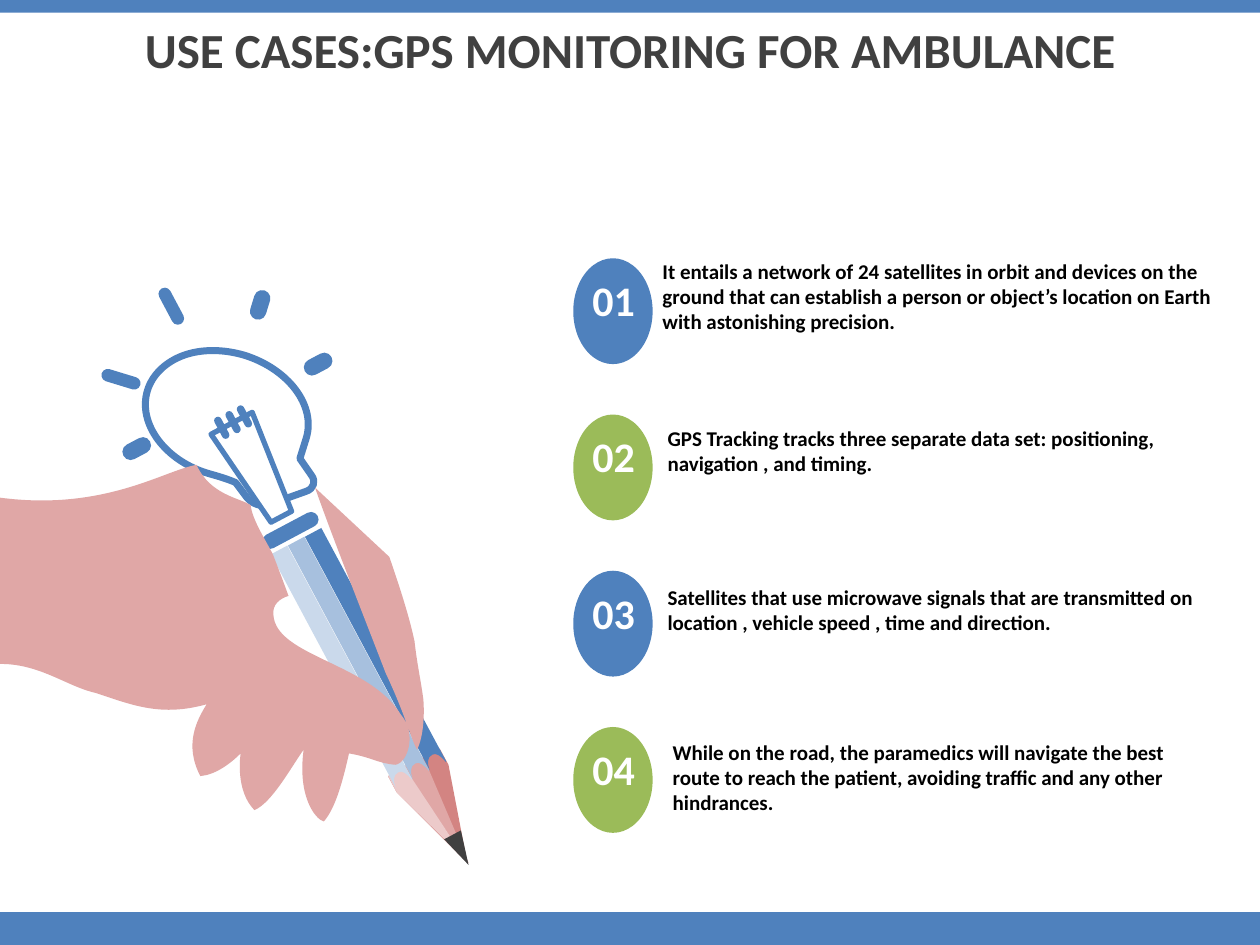
import dataclasses

import pptx
import pptx.dml.color
import pptx.enum.shapes
import pptx.enum.text
import pptx.oxml
import pptx.oxml.ns
import pptx.util

Inches = pptx.util.Inches
Shape = pptx.enum.shapes.MSO_SHAPE
Align = pptx.enum.text.PP_ALIGN
Anchor = pptx.enum.text.MSO_ANCHOR
qualified = pptx.oxml.ns.qn


@dataclasses.dataclass(frozen=True)
class Theme:
    font: str = "Calibri"
    title_size: int = 28
    number_size: int = 24
    body_size: int = 12
    blue: str = "4F81BD"
    mid_blue: str = "A7C0DE"
    pale_blue: str = "CAD9EB"
    green: str = "9BBB59"
    red: str = "D38482"
    skin: str = "E0A7A6"
    pale_red: str = "ECCACA"
    dark: str = "404040"
    black: str = "000000"
    white: str = "FFFFFF"


THEME = Theme()

# Outlines in inches: M = move, L = line, C = cubic curve, Z = close
PENCIL_TIP = [
    (THEME.red, "M 3.08 6.16 L 3.49 5.94 L 3.56 6.07 L 3.71 6.85 L 3.15 6.29 Z"),
    (THEME.skin, "M 3.21 6.08 L 3.35 6.01 L 3.4 6.1 L 3.72 6.85 L 3.28 6.21 Z"),
    (THEME.pale_red, "M 3.08 6.16 L 3.22 6.09 C 3.24 6.12 3.25 6.15 3.27 6.18 "
                     "L 3.7 6.83 L 3.15 6.29 Z"),
]
PENCIL_STRIPE = ("M 2.15 4.4 L 2.28 4.33 L 3.27 6.18 L 3.27 6.19 "
                 "C 3.23 6.14 3.19 6.11 3.16 6.13 C 3.12 6.15 3.12 6.2 3.14 6.25 Z")
BULB = ("M 1.46 2.82 C 1.6 2.77 1.77 2.77 1.94 2.82 C 2.29 2.93 2.51 3.22 2.43 3.48 "
        "L 2.38 3.64 L 2.47 3.77 C 2.51 3.82 2.49 3.88 2.43 3.9 L 2.29 3.95 L 2.13 4 "
        "C 2.08 4.03 2 4 1.96 3.95 L 1.87 3.83 C 1.8 3.8 1.73 3.78 1.66 3.76 "
        "C 1.31 3.66 1.09 3.36 1.17 3.1 C 1.21 2.97 1.32 2.87 1.46 2.82 Z")
HAND = ("M 2.5 3.87 L 3.09 4.42 C 3.17 4.65 3.25 4.9 3.29 5.09 "
        "C 3.31 5.27 3.34 5.4 3.36 5.55 C 3.37 5.68 3.36 5.85 3.31 5.95 "
        "C 3.26 5.86 3.22 5.68 3.06 5.34 C 2.93 5 2.64 4.27 2.5 3.87 Z "
        "M 1.56 3.69 C 1.67 3.93 1.9 3.95 1.99 4.01 C 2 4.13 2.13 4.32 2.17 4.41 "
        "C 2.22 4.54 2.25 4.62 2.29 4.73 C 2.22 4.75 2.16 4.8 2.17 4.88 "
        "C 2.19 5.21 2.93 5.26 3.18 5.67 C 3.31 5.82 3.24 6.05 3.14 6.07 "
        "C 3 6.06 2.95 6.01 2.77 5.98 C 2.71 6.25 2.65 6.43 2.57 6.52 "
        "C 2.5 6.5 2.36 6.32 2.41 5.95 C 2.31 6.09 2.16 6.37 2.02 6.43 "
        "C 1.91 6.32 1.89 6.13 1.91 5.98 C 1.83 6.06 1.71 6.15 1.59 6.16 "
        "C 1.46 5.91 1.56 5.72 1.64 5.59 C 1.28 5.69 1.06 5.6 0.76 5.5 "
        "C 0.53 5.45 0.31 5.26 -0.02 5.27 L 0 3.95 C 0.83 4.06 1.31 3.73 1.56 3.69 Z")

# Rounded bars: left, top, width, height, rotation
RAYS = [(2, 2.3, 0.13, 0.24, 17), (0.91, 2.85, 0.1, 0.32, 287),
        (1.31, 2.27, 0.1, 0.32, 332), (2.46, 2.77, 0.13, 0.24, 62),
        (1.02, 3.44, 0.13, 0.24, 242)]
COLLAR = (2.06, 4.15, 0.49, 0.12, 332)
FILAMENTS = [(1.73 + 0.09 * i, 3.3 - 0.045 * i, 0.06, 0.19, 332) for i in range(3)]

# Use cases: text, left, top and width relative to the row
USE_CASES = [
    ("It entails a network of 24 satellites in orbit and devices on the ground that can "
     "establish a person or object’s location on Earth with astonishing precision.",
     0.61, -0.05, 4.84),
    ("GPS Tracking tracks three separate data set: positioning, navigation , and timing.",
     0.65, 0.04, 4.8),
    ("Satellites that use microwave signals that are transmitted on location , vehicle "
     "speed , time and direction.", 0.65, 0.06, 4.8),
    ("While on the road, the paramedics will navigate the best route to reach the "
     "patient, avoiding traffic and any other hindrances.", 0.69, 0.05, 4.41),
]


def rgb(value):
    return pptx.dml.color.RGBColor.from_string(value)


def paint(shape, fill, line=None, line_width=0):
    shape.shadow.inherit = False
    shape.fill.solid()
    shape.fill.fore_color.rgb = rgb(fill)
    if line:
        shape.line.color.rgb = rgb(line)
        shape.line.width = pptx.util.Pt(line_width)
    else:
        shape.line.fill.background()


def add_preset(slide, kind, box, fill, rotation=0, **line):
    shape = slide.shapes.add_shape(kind, *map(Inches, box))
    shape.rotation = rotation
    paint(shape, fill, **line)
    return shape


def read_outline(outline):
    """Return the command letters and the points of each contour."""
    contours, commands = [], []
    words = iter(outline.split())
    for command in words:
        if command == "Z":
            continue
        count = 6 if command == "C" else 2
        values = [float(next(words)) for _ in range(count)]
        points = list(zip(values[::2], values[1::2]))
        if command == "M":
            contours.append(points)
        else:
            contours[-1] += points
            commands.append(command)
    return commands, contours


def bend_curves(shape, commands):
    """Join each three segments of a curve command into one cubic curve."""
    segments = iter(list(shape._element.iter(qualified("a:lnTo"))))
    for command in commands:
        segment = next(segments)
        if command == "C":
            curve = pptx.oxml.xmlchemy.OxmlElement("a:cubicBezTo")
            segment.addprevious(curve)
            for part in (segment, next(segments), next(segments)):
                curve.append(part[0])
                part.getparent().remove(part)


def add_outline(slide, left, top, outline, fill, **line):
    commands, contours = read_outline(outline)
    units = 1000
    contours = [[((left + x) * units, (top + y) * units) for x, y in contour]
                for contour in contours]
    builder = slide.shapes.build_freeform(*contours[0][0], scale=Inches(1) / units)
    for index, contour in enumerate(contours):
        if index:
            builder.move_to(*contour[0])
        builder.add_line_segments(contour[1:], close=True)
    shape = builder.convert_to_shape()
    bend_curves(shape, commands)
    paint(shape, fill, **line)


def add_bar(slide, left, top, bar):
    x, y, width, height, rotation = bar
    shape = add_preset(slide, Shape.ROUNDED_RECTANGLE,
                       (left + x, top + y, width, height), THEME.blue, rotation)
    shape.adjustments[0] = 0.5


def write(shape, text, size, color, alignment):
    frame = shape.text_frame
    frame.word_wrap = True
    paragraph = frame.paragraphs[0]
    paragraph.text = text
    paragraph.alignment = alignment
    font = paragraph.font
    font.name, font.size, font.bold = THEME.font, pptx.util.Pt(size), True
    font.color.rgb = rgb(color)


def add_label(slide, box, *text_style):
    write(slide.shapes.add_textbox(*map(Inches, box)), *text_style)


def add_frame(slide, left, top, width, height):
    for y, bar_height in ((top + height - 0.26, 0.26), (top, 0.1)):
        add_preset(slide, Shape.RECTANGLE, (left, y, width, bar_height), THEME.blue)


def add_title(slide, left, top, width, height):
    title = slide.shapes.title
    title.left, title.top, title.width, title.height = map(
        Inches, (left, top, width, height))
    write(title, "USE CASES:GPS MONITORING FOR AMBULANCE", THEME.title_size,
          THEME.dark, Align.CENTER)
    # Centre the line in the upper half of the box
    title.text_frame.vertical_anchor = Anchor.MIDDLE
    title.text_frame.margin_top = 0
    title.text_frame.margin_bottom = Inches(height / 2)


def add_illustration(slide, left, top):
    # Pencil
    for color, outline in PENCIL_TIP:
        add_outline(slide, left, top, outline, color)
    for i, color in enumerate((THEME.pale_blue, THEME.mid_blue, THEME.blue)):
        add_outline(slide, left + 0.135 * i, top - 0.07 * i, PENCIL_STRIPE, color)
    add_preset(slide, Shape.ISOSCELES_TRIANGLE, (left + 3.58, top + 6.61, 0.15, 0.27),
               THEME.dark, 152)
    # Bulb with rays
    add_outline(slide, left, top, BULB, THEME.white, line=THEME.blue, line_width=4)
    add_preset(slide, Shape.TRAPEZOID, (left + 1.85, top + 3.31, 0.37, 0.84),
               THEME.white, 152, line=THEME.blue, line_width=3)
    for bar in [*RAYS, COLLAR, *FILAMENTS]:
        add_bar(slide, left, top, bar)
    # Hand
    add_outline(slide, left, top, HAND, THEME.skin)


def add_use_cases(slide, left, top, row_step):
    for i, (text, text_left, text_top, text_width) in enumerate(USE_CASES):
        y = top + row_step * i
        add_preset(slide, Shape.OVAL, (left, y, 0.63, 0.84),
                   (THEME.blue, THEME.green)[i % 2])
        add_label(slide, (left - 0.03, y + 0.08, 0.7, 0.5), f"{i + 1:02}",
                  THEME.number_size, THEME.white, Align.CENTER)
        add_label(slide, (left + text_left, y + text_top, text_width, 0.8), text,
                  THEME.body_size, THEME.black, Align.LEFT)


presentation = pptx.Presentation()
presentation.slide_width, presentation.slide_height = Inches(10), Inches(7.5)
slide = presentation.slides.add_slide(presentation.slide_layouts[5])
add_frame(slide, 0, 0, 10, 7.5)
add_title(slide, 0, 0.18, 10, 0.84)
add_illustration(slide, 0, 0)
add_use_cases(slide, 4.55, 2.05, 1.24)
presentation.save("out.pptx")
